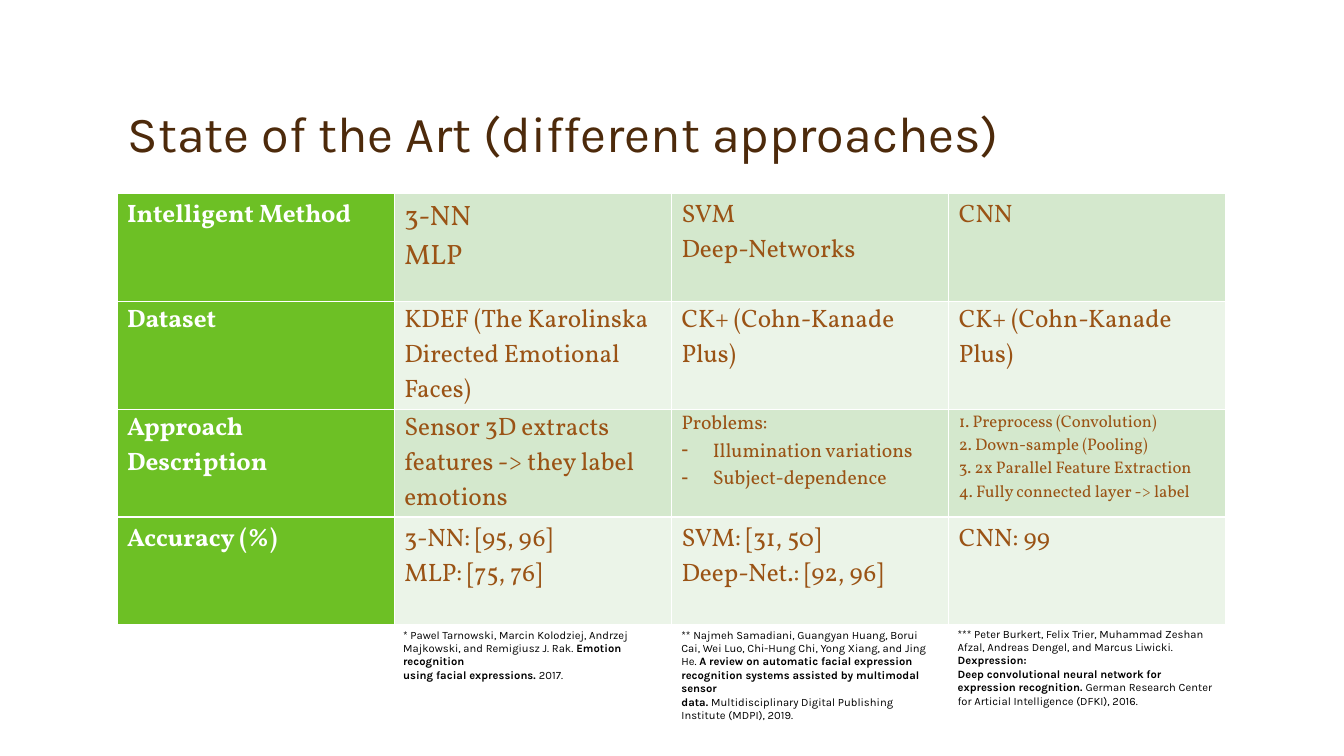
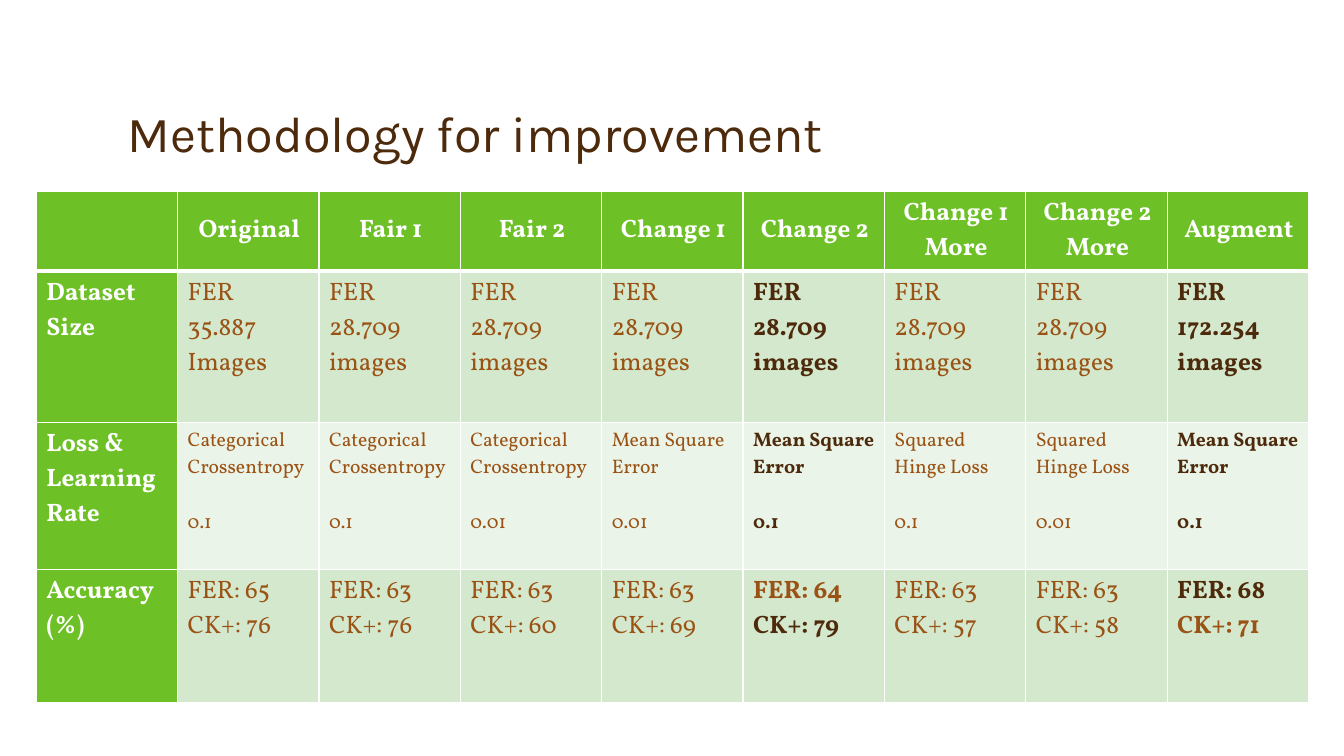
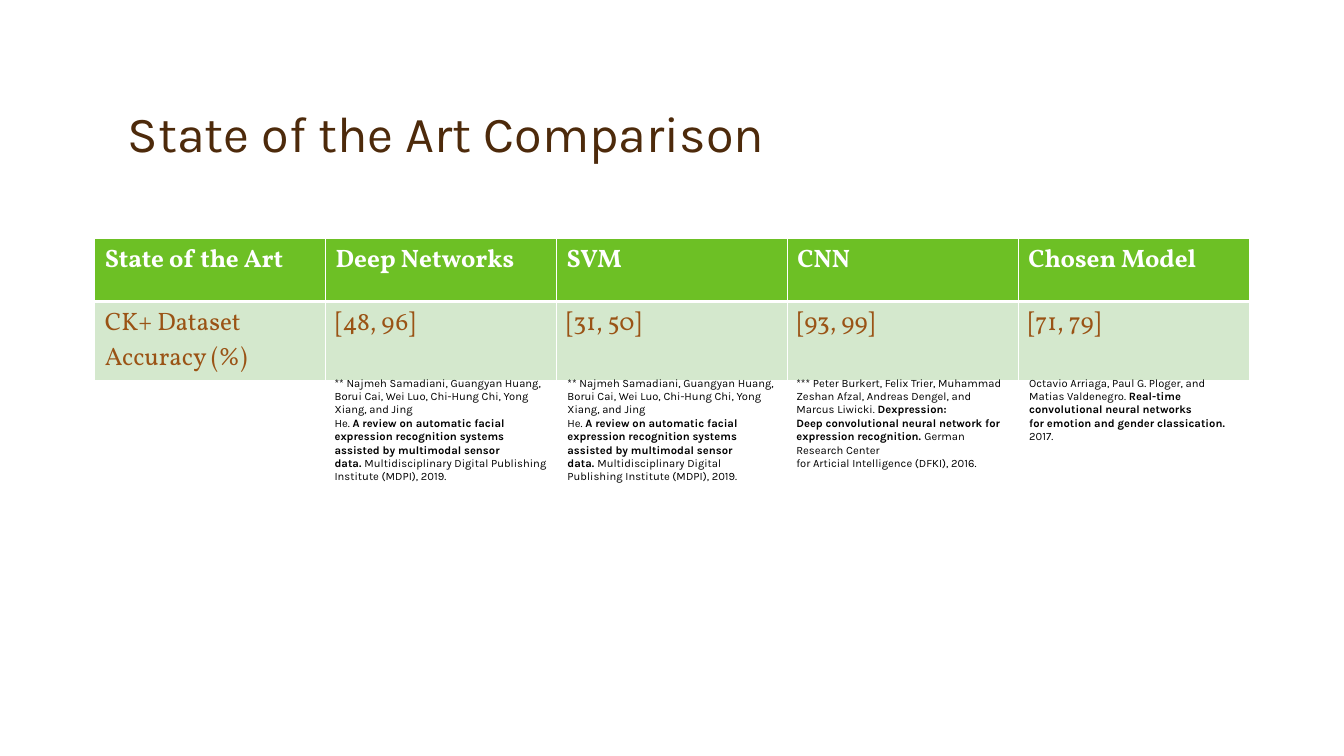
"""Build three slides of tables comparing facial expression recognition methods."""
from lxml import etree
from pptx import Presentation
from pptx import util as u
from pptx.dml import color
from pptx.enum import text
from pptx.oxml import ns

PX = 9144
COLOURS = {"green": "6DC025", "mint": "D4E8CD", "pale": "EBF4E8", "white": "FFFFFF",
           "brown": "9A5315", "dark": "4D2A0B", "black": "000000"}
STYLES = {"head": ("white", True), "body": ("brown", False),
          "hot": ("brown", True), "strong": ("dark", True), "title": ("dark", False),
          "note": ("black", False), "cite": ("black", True)}


def write(frame, lines, font, size, style):
    """Fill a text frame; a line is a string or a list of (text, style) runs."""
    frame.word_wrap = True
    for index, line in enumerate(lines):
        para = frame.paragraphs[0] if index == 0 else frame.add_paragraph()
        runs = [(line, style)] if isinstance(line, str) else line
        if runs[0][0].startswith("- "):
            runs = [(runs[0][0][2:], style)]
            props = para._p.get_or_add_pPr()
            props.set("marL", str(31 * PX))
            props.set("indent", str(-31 * PX))
            etree.SubElement(props, ns.qn("a:buChar")).set("char", "-")
        for words, look in runs:
            span = para.add_run()
            span.text = words
            span.font.name = font
            span.font.size = u.Pt(size)
            span.font.bold = STYLES[look][1]
            span.font.color.rgb = color.RGBColor.from_string(COLOURS[STYLES[look][0]])


def add_box(page, left, top, width, height, lines, size, style):
    """Add a text box in the sans font and return its frame."""
    box = page.shapes.add_textbox(left * PX, top * PX, width * PX, height * PX)
    write(box.text_frame, lines, "Karla", size, style)
    return box.text_frame


samadiani = [
    "** Najmeh Samadiani, Guangyan Huang, Borui Cai, Wei Luo, Chi-Hung Chi, Yong Xiang, and Jing",
    [("He. ", "note"),
     ("A review on automatic facial expression recognition systems assisted by multimodal sensor", "cite")],
    [("data. ", "cite"), ("Multidisciplinary Digital Publishing Institute (MDPI), 2019.", "note")]]
burkert = [
    [("*** Peter Burkert, Felix Trier, Muhammad Zeshan Afzal, Andreas Dengel, and Marcus Liwicki. ", "note"),
     ("Dexpression:", "cite")],
    [("Deep convolutional neural network for expression recognition. ", "cite"),
     ("German Research Center", "note")],
    "for Articial Intelligence (DFKI), 2016."]
tarnowski = [
    [("* Pawel Tarnowski, Marcin Kolodziej, Andrzej Majkowski, and Remigiusz J. Rak. ", "note"),
     ("Emotion recognition", "cite")],
    [("using facial expressions.", "cite"), (" 2017.", "note")]]
arriaga = [
    [("Octavio Arriaga, Paul G. Ploger, and Matias Valdenegro. ", "note"),
     ("Real-time convolutional neural networks", "cite")],
    [("for emotion and gender classication.", "cite"), (" 2017.", "note")]]

approach_rows = [
    [["Intelligent Method"], ["3-NN", "MLP"], ["SVM", "Deep-Networks"], ["CNN"]],
    [["Dataset"], ["KDEF (The Karolinska Directed Emotional Faces)"],
     ["CK+ (Cohn-Kanade Plus)"], ["CK+ (Cohn-Kanade Plus)"]],
    [["Approach Description"], ["Sensor 3D extracts features -> they label emotions"],
     ["Problems:", "- Illumination variations", "- Subject-dependence"],
     ["1. Preprocess (Convolution)", "2. Down-sample (Pooling)",
      "3. 2x Parallel Feature Extraction", "4. Fully connected layer -> label"]],
    [["Accuracy (%)"], ["3-NN: [95, 96]", "MLP: [75, 76]"],
     ["SVM: [31, 50]", "Deep-Net.: [92, 96]"], ["CNN: 99"]]]

cross, square, hinge = "Categorical Crossentropy", "Mean Square Error", "Squared Hinge Loss"
trials = [
    ("Original", ["35.887", "Images"], cross, "0.1", 65, 76, "body", "body"),
    ("Fair 1", ["28.709 images"], cross, "0.1", 63, 76, "body", "body"),
    ("Fair 2", ["28.709 images"], cross, "0.01", 63, 60, "body", "body"),
    ("Change 1", ["28.709 images"], square, "0.01", 63, 69, "body", "body"),
    ("Change 2", ["28.709 images"], square, "0.1", 64, 79, "hot", "strong"),
    ("Change 1 More", ["28.709 images"], hinge, "0.1", 63, 57, "body", "body"),
    ("Change 2 More", ["28.709 images"], hinge, "0.01", 63, 58, "body", "body"),
    ("Augment", ["172.254 images"], square, "0.1", 68, 71, "strong", "hot")]
trial_rows = [[[]], [["Dataset Size"]], [["Loss & Learning Rate"]], [["Accuracy (%)"]]]
for name, images, loss, rate, fer, ck, fer_style, ck_style in trials:
    style = "body" if fer_style == "body" else "strong"
    trial_rows[0].append([name])
    trial_rows[1].append([[(line, style)] for line in ["FER"] + images])
    trial_rows[2].append([[(loss, style)], [(rate, style)]])
    trial_rows[3].append([[(f"FER: {fer}", fer_style)], [(f"CK+: {ck}", ck_style)]])

comparison_rows = [
    [["State of the Art"], ["Deep Networks"], ["SVM"], ["CNN"], ["Chosen Model"]],
    [["CK+ Dataset", "Accuracy (%)"], ["[48, 96]"], ["[31, 50]"], ["[93, 99]"], ["[71, 79]"]]]

pages = [
    {"title": "State of the Art (different approaches)", "rows": approach_rows,
     "at": (116, 192, 1100), "heights": [107] * 4, "head_row": False, "head_column": True,
     "sizes": {(0, 1): 20, (2, 2): 14, (2, 3): 12}, "tight": (1, 2), "right": 10,
     "centred": False, "gap_row": None,
     "notes": [(390, 618, 277, 64, tarnowski), (666, 618, 273, 118, samadiani),
               (940, 617, 277, 104, burkert)]},
    {"title": "Methodology for improvement", "rows": trial_rows,
     "at": (36, 190, 1262), "heights": [79, 150, 146, 132], "head_row": True, "head_column": True,
     "sizes": {(2, column): 14 for column in range(1, 9)}, "tight": (), "right": 8,
     "centred": True, "gap_row": 2, "notes": []},
    {"title": "State of the Art Comparison", "rows": comparison_rows,
     "at": (94, 237, 1145), "heights": [62, 79], "head_row": True, "head_column": False,
     "sizes": {}, "tight": (), "right": 10, "centred": False, "gap_row": None,
     "notes": [(322, 368, 231, 118, samadiani), (553, 368, 227, 118, samadiani),
               (780, 368, 231, 131, burkert), (1011, 368, 227, 77, arriaga)]}]

deck = Presentation()
deck.slide_width = u.Inches(13.33)
deck.slide_height = u.Inches(7.5)
for plan in pages:
    page = deck.slides.add_slide(deck.slide_layouts[6])
    title = add_box(page, 117, 34, 1100, 133, [plan["title"]], 36, "title")
    title.vertical_anchor = text.MSO_ANCHOR.BOTTOM
    title.paragraphs[0].line_spacing = 0.9

    left, top, width = plan["at"]
    rows, heights = plan["rows"], plan["heights"]
    table = page.shapes.add_table(len(rows), len(rows[0]), left * PX, top * PX,
                                  width * PX, sum(heights) * PX).table
    table.first_row = table.horz_banding = False
    for column in table.columns:
        column.width = width * PX // len(rows[0])
    for r, row in enumerate(rows):
        table.rows[r].height = heights[r] * PX
        in_head_row = plan["head_row"] and r == 0
        band = "mint" if (r - plan["head_row"]) % 2 == 0 else "pale"
        for c, lines in enumerate(row):
            cell = table.cell(r, c)
            is_head = in_head_row or (plan["head_column"] and c == 0)
            cell.margin_left, cell.margin_right = 10 * PX, plan["right"] * PX
            cell.margin_top = (2 if r in plan["tight"] else 5) * PX
            cell.margin_bottom = (0 if r in plan["tight"] else 5) * PX
            props = cell._tc.get_or_add_tcPr()
            for side in "LRTB":
                thick = plan["head_row"] and (side, r) in (("B", 0), ("T", 1))
                line = etree.SubElement(props, ns.qn(f"a:ln{side}"))
                line.set("w", str(u.Pt(3 if thick else 1)))
                paint = etree.SubElement(line, ns.qn("a:solidFill"))
                etree.SubElement(paint, ns.qn("a:srgbClr")).set("val", COLOURS["white"])
            cell.fill.solid()
            cell.fill.fore_color.rgb = color.RGBColor.from_string(COLOURS["green" if is_head else band])
            write(cell.text_frame, lines, "Vollkorn", plan["sizes"].get((r, c), 18),
                  "head" if is_head else "body")
            if in_head_row and plan["centred"]:
                cell.vertical_anchor = text.MSO_ANCHOR.MIDDLE
                cell.text_frame.paragraphs[0].alignment = text.PP_ALIGN.CENTER
            if r == plan["gap_row"] and c > 0:
                cell.text_frame.paragraphs[1].space_before = u.Pt(19.5)

    for x, y, note_width, note_height, lines in plan["notes"]:
        add_box(page, x, y, note_width, note_height, lines, 8, "note")

deck.save("out.pptx")
